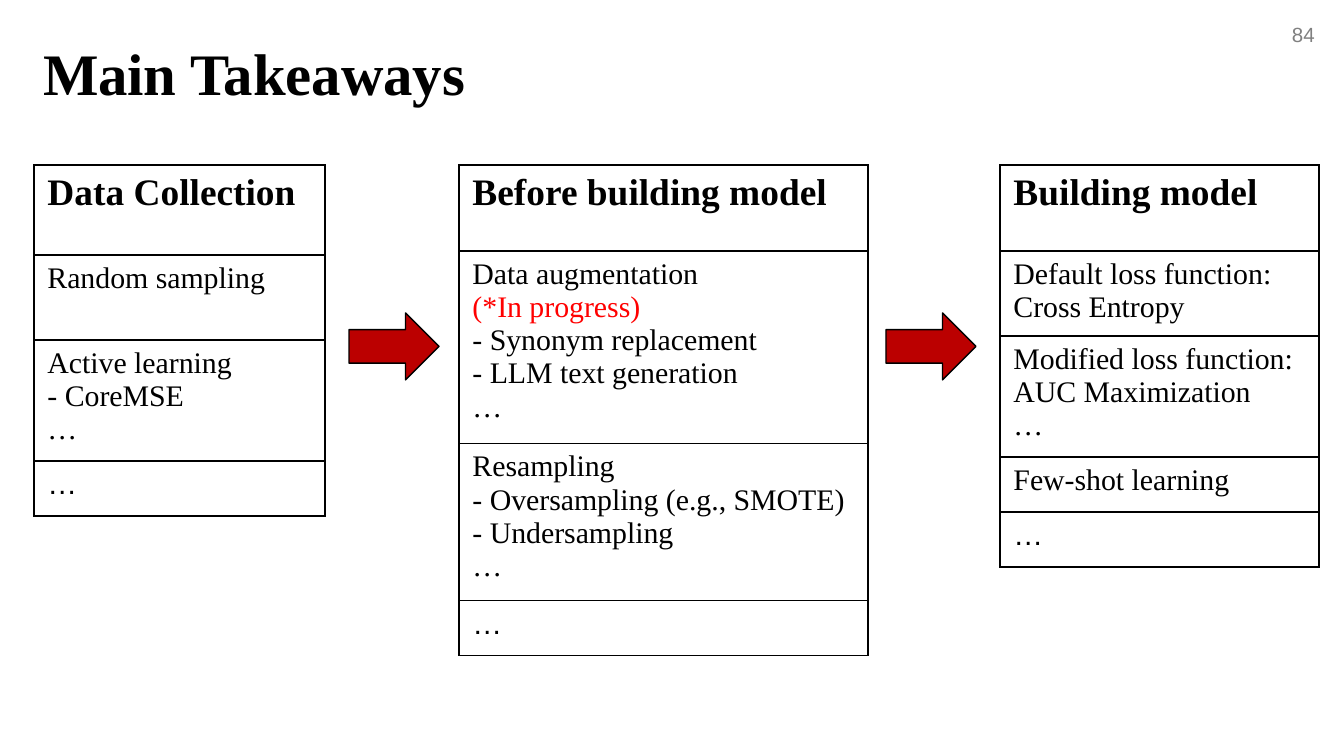
from lxml.etree import SubElement
from pptx import Presentation
from pptx.dml.color import RGBColor
from pptx.enum.shapes import MSO_SHAPE
from pptx.enum.text import MSO_ANCHOR, PP_ALIGN
from pptx.oxml.ns import qn
from pptx.util import Pt

BLACK = RGBColor(0, 0, 0)
WHITE = RGBColor(255, 255, 255)
GRAY = RGBColor(0x80, 0x80, 0x80)
RED = RGBColor(255, 0, 0)
DARK = RGBColor(0xBB, 0, 0)
SERIF, SANS = "Times New Roman", "Arial"

# Content: each stage has a left edge, a width and (height, lines) rows
TITLE, PAGE = "Main Takeaways", "84"
NOTE = "(*In progress)"
MORE = (55, ["…"])
STAGES = [
    (34, 291, [
        (90, ["Data Collection"]),
        (85, ["Random sampling"]),
        (121, ["Active learning", "- CoreMSE", "…"]),
        MORE,
    ]),
    (459, 409, [
        (86, ["Before building model"]),
        (192, ["Data augmentation", NOTE, "- Synonym replacement",
               "- LLM text generation", "…"]),
        (157, ["Resampling", "- Oversampling (e.g., SMOTE)",
               "- Undersampling", "…"]),
        MORE,
    ]),
    (1000, 319, [
        (86, ["Building model"]),
        (85, ["Default loss function: Cross Entropy"]),
        (121, ["Modified loss function:", "AUC Maximization", "…"]),
        (55, ["Few-shot learning"]),
        MORE,
    ]),
]
TOP = 165
ARROWS = [349, 886]


def px(n):
    return round(n * 914400 / 134.4)


def box(*nums):
    return [px(n) for n in nums]


def write(frame, lines, size=16, font=SERIF, color=BLACK, bold=False,
          align=PP_ALIGN.LEFT, space=None):
    for i, line in enumerate(lines):
        para = frame.paragraphs[0] if i == 0 else frame.add_paragraph()
        para.alignment = align
        para.line_spacing = space
        run = para.add_run()
        run.text = line
        run.font.size = Pt(size)
        run.font.name = font
        run.font.bold = bold
        run.font.color.rgb = RED if line == NOTE else color


def border(cell):
    props = cell._tc.get_or_add_tcPr()
    for i, side in enumerate(("a:lnL", "a:lnR", "a:lnT", "a:lnB")):
        line = props.makeelement(qn(side), {"w": str(Pt(1))})
        fill = SubElement(line, qn("a:solidFill"))
        SubElement(fill, qn("a:srgbClr"), val=str(BLACK))
        props.insert(i, line)


def add_stage(slide, left, width, rows):
    high = sum(h for h, _ in rows)
    table = slide.shapes.add_table(
        len(rows), 1, *box(left, TOP, width, high)).table
    table.first_row = table.horz_banding = False
    for i, (h, lines) in enumerate(rows):
        table.rows[i].height = px(h)
        cell = table.cell(i, 0)
        cell.fill.solid()
        cell.fill.fore_color.rgb = WHITE
        border(cell)
        head = i == 0
        write(cell.text_frame, lines, size=20 if head else 16, bold=head,
              font=SANS if lines == ["…"] else SERIF)


def main():
    deck = Presentation()
    deck.slide_width, deck.slide_height = box(1344, 756)
    slide = deck.slides.add_slide(deck.slide_layouts[5])

    # Title
    title = slide.shapes.title
    title.left, title.top, title.width, title.height = box(34, 36, 1103, 81)
    frame = title.text_frame
    frame.margin_left = frame.margin_right = px(9)
    frame.margin_top = frame.margin_bottom = px(5)
    frame.vertical_anchor = MSO_ANCHOR.MIDDLE
    write(frame, [TITLE], size=31.5, bold=True, space=0.9)

    # Page number
    note = slide.shapes.add_textbox(*box(1254, 15, 74, 39))
    note.text_frame.word_wrap = True
    write(note.text_frame, [PAGE], size=11, font=SANS, color=GRAY,
          align=PP_ALIGN.RIGHT)

    # Stage tables
    for stage in STAGES:
        add_stage(slide, *stage)

    # Arrows between the stages
    for left in ARROWS:
        arrow = slide.shapes.add_shape(
            MSO_SHAPE.RIGHT_ARROW, *box(left, 313, 90, 67))
        arrow.shadow.inherit = False
        arrow.fill.solid()
        arrow.fill.fore_color.rgb = DARK
        arrow.line.color.rgb = BLACK
        arrow.line.width = Pt(0.75)

    deck.save("out.pptx")


if __name__ == "__main__":
    main()
